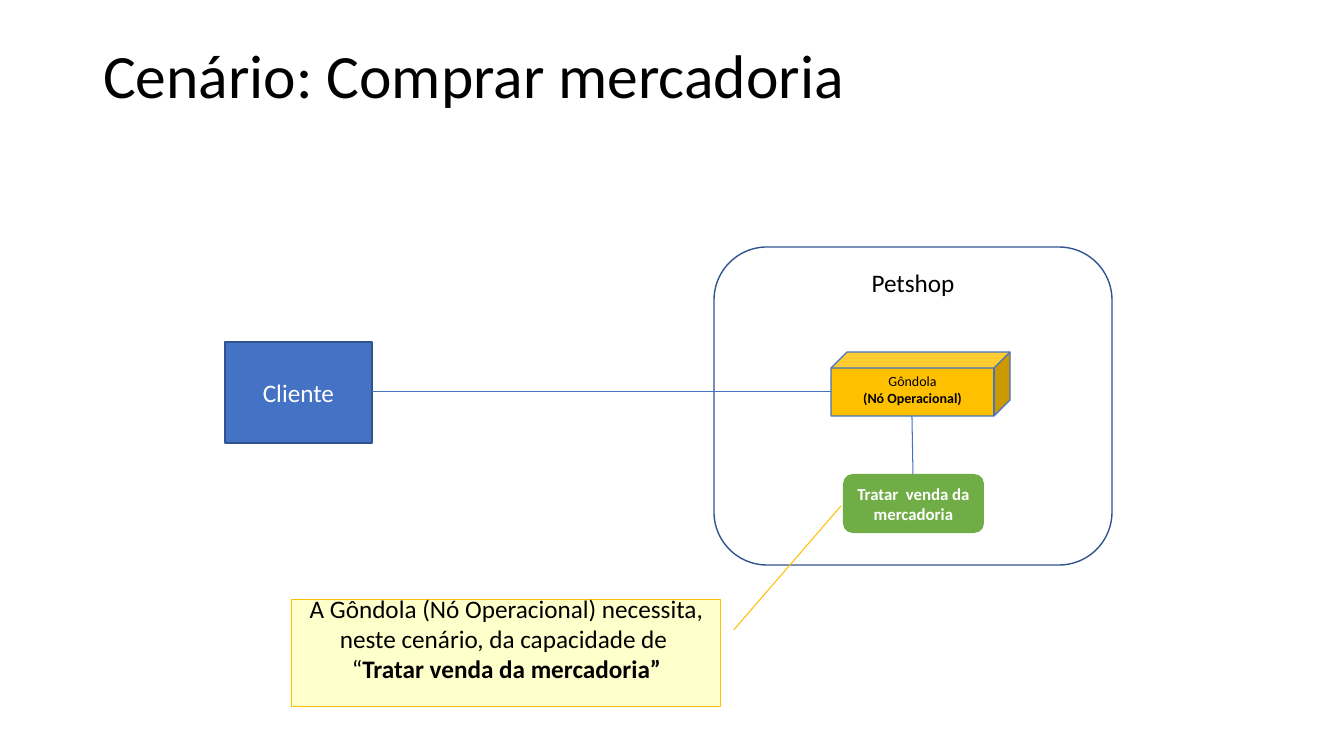
from lxml import etree
from pptx import Presentation
from pptx import util as u
from pptx.dml.color import RGBColor
from pptx.enum import shapes, text
from pptx.oxml import ns

PX = 914400 / 100.8
BLACK = RGBColor(0x00, 0x00, 0x00)
WHITE = RGBColor(0xFF, 0xFF, 0xFF)
BLUE = RGBColor(0x44, 0x72, 0xC4)
DARK_BLUE = RGBColor(0x31, 0x53, 0x8F)
GOLD = RGBColor(0xFF, 0xC0, 0x00)
GREEN = RGBColor(0x70, 0xAD, 0x47)
CREAM = RGBColor(0xFF, 0xFF, 0xCC)

SHAPE = shapes.MSO_SHAPE
CONNECTOR = shapes.MSO_CONNECTOR
TOP, MIDDLE = text.MSO_ANCHOR.TOP, text.MSO_ANCHOR.MIDDLE
LEFT, CENTER = text.PP_ALIGN.LEFT, text.PP_ALIGN.CENTER


def emu(*lengths):
    return [u.Emu(round(length * PX)) for length in lengths]


def write(shape, paragraphs, size, color=BLACK, align=CENTER, anchor=MIDDLE, spacing=1.0):
    """Fill a shape with paragraphs, each a list of (words, bold) runs."""
    frame = shape.text_frame
    frame.word_wrap = True
    frame.auto_size = text.MSO_AUTO_SIZE.NONE
    frame.vertical_anchor = anchor
    for index, runs in enumerate(paragraphs):
        paragraph = frame.add_paragraph() if index else frame.paragraphs[0]
        paragraph.alignment = align
        paragraph.line_spacing = spacing
        for words, bold in runs:
            run = paragraph.add_run()
            run.text = words
            run.font.name = "Calibri"
            run.font.size = u.Pt(size)
            run.font.bold = bold
            run.font.color.rgb = color


presentation = Presentation()
presentation.slide_width, presentation.slide_height = emu(1344, 756)
slide = presentation.slides.add_slide(presentation.slide_layouts[5])

title = slide.shapes.title
title.left, title.top, title.width, title.height = emu(93, 40, 1159, 146)
write(title, [[("Cenário: Comprar mercadoria", False)]], 44, align=LEFT, anchor=TOP, spacing=0.9)

# kind, box, fill, line, line width, paragraphs, text format
nodes = [
    (SHAPE.CUBE, (831, 352, 179, 64), GOLD, BLUE, 1,
     [[("Gôndola", False)], [("(Nó Operacional)", True)]], dict(size=10, anchor=TOP)),
    (SHAPE.ROUNDED_RECTANGLE, (843, 474, 141, 59), GREEN, None, 0,
     [[("Tratar  venda da mercadoria", True)]], dict(size=12, color=WHITE)),
    (SHAPE.RECTANGLE, (225, 342, 147, 101), BLUE, DARK_BLUE, 1,
     [[("Cliente", False)]], dict(size=18, color=WHITE)),
    (SHAPE.ROUNDED_RECTANGLE, (714, 247, 398, 318), None, DARK_BLUE, 1,
     [[("Petshop", False)]], dict(size=18, anchor=TOP)),
    (SHAPE.LINE_CALLOUT_1, (292, 600, 429, 107), CREAM, GOLD, 0.75,
     [[("A Gôndola (Nó Operacional) necessita, neste cenário, da capacidade de ", False)],
      [("“", False), ("Tratar venda da mercadoria”", True)]], dict(size=18)),
]
for kind, box, fill, line, width, paragraphs, text_format in nodes:
    shape = slide.shapes.add_shape(kind, *emu(*box))
    shape.shadow.inherit = False
    if fill is None:
        shape.fill.background()
    else:
        shape.fill.solid()
        shape.fill.fore_color.rgb = fill
    if line is None:
        shape.line.fill.background()
    else:
        shape.line.color.rgb = line
        shape.line.width = u.Pt(width)
    write(shape, paragraphs, **text_format)
    if kind == SHAPE.LINE_CALLOUT_1:
        # pointer start y, x and end y, x as shares of the box
        for index, share in enumerate((0.28, 1.03, -0.88, 1.28)):
            shape.adjustments[index] = share
        shape.text_frame.margin_bottom = emu(35)[0]

for kind, ends in [(CONNECTOR.CURVE, (372, 392, 831, 392)),
                   (CONNECTOR.STRAIGHT, (912, 416, 913, 474))]:
    connector = slide.shapes.add_connector(kind, *emu(*ends))
    connector.line.color.rgb = BLUE
    connector.line.width = u.Pt(0.75)
    etree.SubElement(connector._element.spPr, ns.qn("a:effectLst"))

presentation.save("out.pptx")
